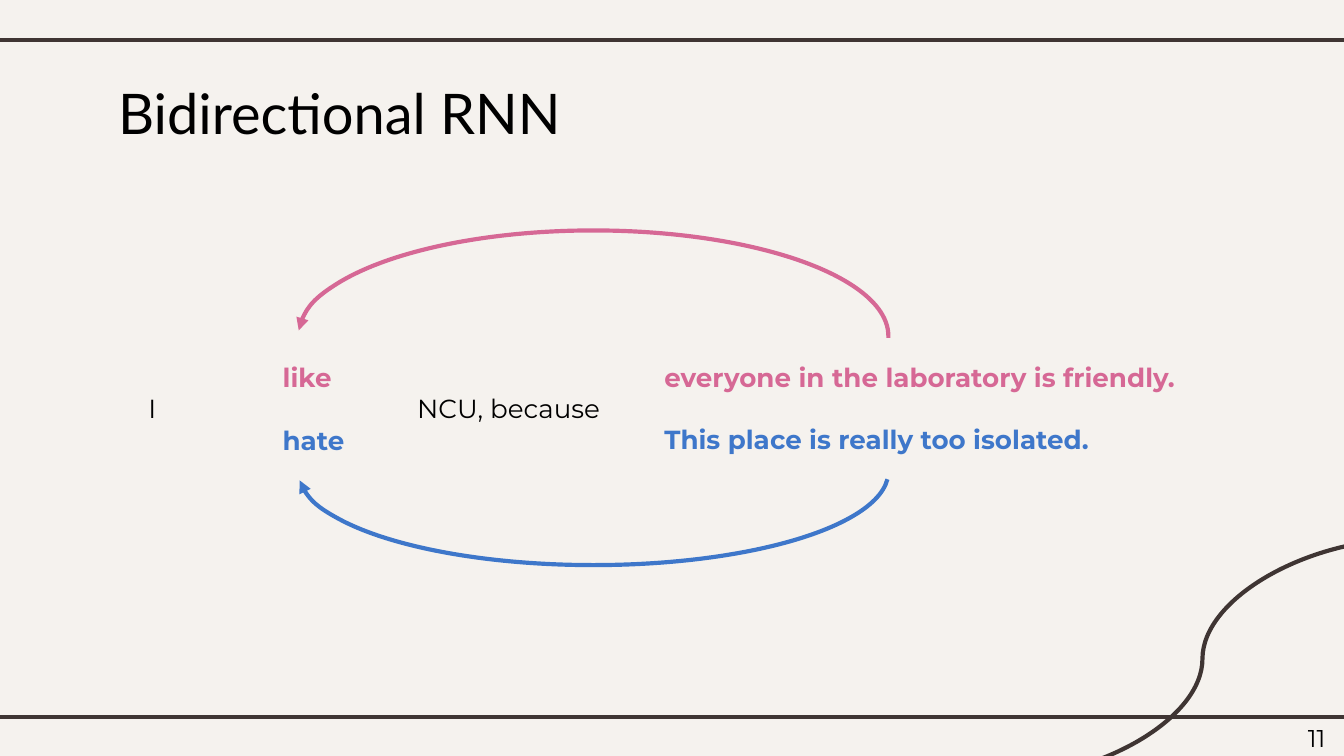
from lxml import etree
from pptx import Presentation
from pptx.dml.color import RGBColor
from pptx.enum.shapes import MSO_CONNECTOR, MSO_SHAPE
from pptx.enum.text import MSO_ANCHOR, PP_ALIGN
from pptx.oxml.ns import qn
from pptx.util import Pt

STRAIGHT, CURVE = MSO_CONNECTOR.STRAIGHT, MSO_CONNECTOR.CURVE
ARC = MSO_SHAPE.ARC
TOP, MIDDLE = MSO_ANCHOR.TOP, MSO_ANCHOR.MIDDLE
LEFT, RIGHT = PP_ALIGN.LEFT, PP_ALIGN.RIGHT

SCALE = 4572  # 200 px to the inch
WIDTH, HEIGHT = 2000, 1125
INSET, INDENT, TAB = 20, 25, 200
PAPER, BROWN, BLACK = "F5F2EE", "3F3533", "000000"
PINK, BLUE = "D66895", "3E77CA"
BODY, HEAD = "Montserrat", "Lato"


def px(n):
    return n * SCALE


def rgb(code):
    return RGBColor.from_string(code)


def set_line(shape, color):
    shape.line.color.rgb = rgb(color)
    shape.line.width = Pt(2.25)


def add_line(slide, kind, x1, y1, x2, y2):
    line = slide.shapes.add_connector(kind, px(x1), px(y1), px(x2), px(y2))
    set_line(line, BROWN)
    etree.SubElement(line._element.spPr, qn("a:effectLst"))


def add_arc(slide, box, angles, color, end):
    """Draw an open arc with an arrowhead at its headEnd or tailEnd."""
    arc = slide.shapes.add_shape(ARC, *map(px, box))
    arc.adjustments[0], arc.adjustments[1] = angles
    arc.shadow.inherit = False
    arc.fill.background()
    set_line(arc, color)
    tip = etree.SubElement(arc.line._get_or_add_ln(), qn(end))
    tip.set("type", "triangle")


def add_text(slide, box, lines, size, font=BODY, anchor=TOP, align=LEFT,
             indent=0, gap=0):
    """Write lines, each a tuple of text, colour and boldness."""
    frame = slide.shapes.add_textbox(*map(px, box)).text_frame
    frame.word_wrap = True
    frame.vertical_anchor = anchor
    frame.margin_left = frame.margin_right = px(INSET)
    frame.margin_top = frame.margin_bottom = px(INSET)
    frame.text = "\n".join(text for text, _, _ in lines)
    for i, (para, (_, color, bold)) in enumerate(zip(frame.paragraphs, lines)):
        para.alignment = align
        if i and gap:
            para.space_before = Pt(gap)
        props = para._p.get_or_add_pPr()
        props.set("marL", str(px(indent)))
        props.set("indent", "0")
        props.set("defTabSz", str(px(TAB)))
        for run in para.runs:
            run.font.name = font
            run.font.size = Pt(size)
            run.font.bold = bold
            run.font.color.rgb = rgb(color)


def main():
    deck = Presentation()
    deck.slide_width, deck.slide_height = px(WIDTH), px(HEIGHT)
    slide = deck.slides.add_slide(deck.slide_layouts[6])
    slide.background.fill.solid()
    slide.background.fill.fore_color.rgb = rgb(PAPER)

    for y in (60, 1067):
        add_line(slide, STRAIGHT, -16, y, WIDTH + 16, y)
    add_line(slide, CURVE, 2098, 802, 1481, 1159)

    words = [("\tlike\t\t", PINK, True),
             ("I\t\tNCU, because", BLACK, False),
             ("\thate", BLUE, True)]
    add_text(slide, (176, 292, 768, 632), words, 14, anchor=MIDDLE,
             indent=INDENT)
    add_text(slide, (156, 97, 984, 126),
             [("Bidirectional RNN", BLACK, False)], 30, font=HEAD)
    add_text(slide, (1872, 1057, 120, 86), [("11", BLACK, False)], 13,
             align=RIGHT)
    reasons = [("everyone in the laboratory is friendly.", PINK, True),
               ("This place is really too isolated.", BLUE, True)]
    add_text(slide, (944, 500, 906, 214), reasons, 14, anchor=MIDDLE,
             indent=INDENT, gap=16.5)

    add_arc(slide, (444, 343, 878, 314), (108.64, 0.22), PINK, "a:headEnd")
    add_arc(slide, (444, 563, 878, 278), (0.88, 106.99), BLUE, "a:tailEnd")

    deck.save("out.pptx")


if __name__ == "__main__":
    main()
